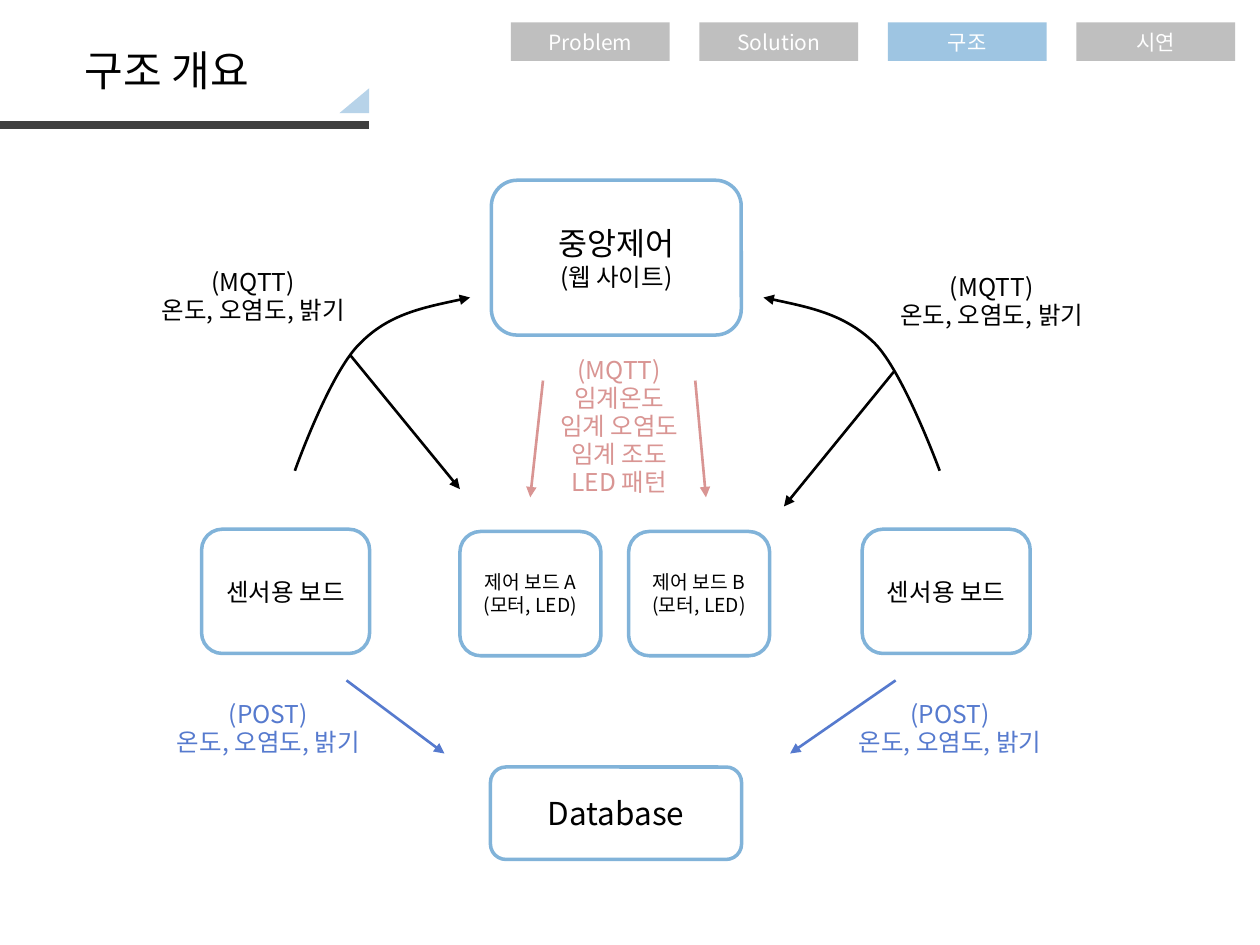
from lxml import etree
from pptx import Presentation
from pptx.dml.color import RGBColor
from pptx.enum.shapes import MSO_CONNECTOR, MSO_SHAPE
from pptx.enum.text import MSO_ANCHOR, PP_ALIGN
from pptx.oxml.ns import qn
from pptx.util import Pt

RECT, ROUND, TRIANGLE = MSO_SHAPE.RECTANGLE, MSO_SHAPE.ROUNDED_RECTANGLE, MSO_SHAPE.RIGHT_TRIANGLE
STRAIGHT, MIDDLE, CENTER = MSO_CONNECTOR.STRAIGHT, MSO_ANCHOR.MIDDLE, PP_ALIGN.CENTER
FONT = "Noto Sans CJK KR"
BLACK = RGBColor(0x00, 0x00, 0x00)
WHITE = RGBColor(0xFF, 0xFF, 0xFF)
DARK = RGBColor(0x40, 0x40, 0x40)
GRAY = RGBColor(0xBF, 0xBF, 0xBF)
LIGHT_BLUE = RGBColor(0x9E, 0xC5, 0xE2)
PALE_BLUE = RGBColor(0xB7, 0xD3, 0xE9)
BOX_BLUE = RGBColor(0x81, 0xB3, 0xD9)
POST_BLUE = RGBColor(0x56, 0x7A, 0xCE)
PINK = RGBColor(0xD9, 0x95, 0x93)

prs = Presentation()
prs.slide_width, prs.slide_height = Pt(720), Pt(540)
shapes = prs.slides.add_slide(prs.slide_layouts[6]).shapes


def write(s, lines, color, tight=False):
    """Fill a shape with centred (text, size) lines."""
    tf = s.text_frame
    tf.word_wrap = True
    if not tight:
        tf.vertical_anchor = MIDDLE
    for i, (text, size) in enumerate(lines):
        p = tf.add_paragraph() if i else tf.paragraphs[0]
        p.alignment = CENTER
        if tight:
            p.line_spacing, p.space_before = Pt(6), Pt(10)
        r = p.add_run()
        r.text = text
        r.font.name, r.font.size = FONT, Pt(size)
        r.font.color.rgb = color
        etree.SubElement(r.font._element, qn("a:ea"), typeface=FONT)


def style_line(s, color, width, end=None):
    """Set colour and width, and an arrowhead at headEnd or tailEnd."""
    s.line.color.rgb, s.line.width = color, Pt(width)
    if end:
        etree.SubElement(s.line._get_or_add_ln(), qn("a:" + end), type="triangle")
    spPr = s._element.spPr
    if spPr.find(qn("a:effectLst")) is None:
        etree.SubElement(spPr, qn("a:effectLst"))


# Title with rule and corner triangle
s = shapes.add_textbox(Pt(-6.5), Pt(21.6), Pt(203.8), Pt(36))
write(s, [("구조 개요", 24)], BLACK)
s = shapes.add_connector(STRAIGHT, Pt(-1.4), Pt(71.3), Pt(211), Pt(71.3))
style_line(s, DARK, 4.5)
s = shapes.add_shape(TRIANGLE, Pt(195.4), Pt(49), Pt(14.2), Pt(17))
s.rotation = 270
s.shadow.inherit = False
s.fill.solid()
s.fill.fore_color.rgb = PALE_BLUE
s.line.fill.background()

# Navigation tabs
for i, name in enumerate(["Problem", "Solution", "구조", "시연"]):
    s = shapes.add_shape(RECT, Pt(292 + 107.7 * i), Pt(12.8), Pt(90.7), Pt(22))
    s.shadow.inherit = False
    s.fill.solid()
    s.fill.fore_color.rgb = LIGHT_BLUE if name == "구조" else GRAY
    s.line.fill.background()
    write(s, [(name, 12)], WHITE)

# System boxes
for x, y, w, h, lines in [
    (280.8, 103, 142.8, 88.5, [("중앙제어", 18), ("(웹 사이트)", 14)]),
    (115.2, 302.4, 96, 71, [("센서용 보드", 14)]),
    (492.7, 302.4, 96, 71, [("센서용 보드", 14)]),
    (262.8, 303.7, 80.6, 71, [("제어 보드 A", 11), ("(모터, LED)", 11)]),
    (359.2, 303.7, 80.6, 71, [("제어 보드 B", 11), ("(모터, LED)", 11)]),
    (280.3, 438.3, 143.5, 52.8, [("Database", 18)]),
]:
    s = shapes.add_shape(ROUND, Pt(x), Pt(y), Pt(w), Pt(h))
    s.shadow.inherit = False
    s.fill.background()
    style_line(s, BOX_BLUE, 2)
    write(s, lines, BLACK)

# Straight arrows
for x1, y1, x2, y2, color in [
    (200.2, 203, 262.8, 279.5, BLACK), (510.8, 212.4, 448, 289.4, BLACK),
    (310.3, 217.5, 303, 284.2, PINK), (397.3, 217.5, 403.4, 284.2, PINK),
    (198, 388.8, 254, 430.6, POST_BLUE), (511.8, 388.8, 451.5, 430.6, POST_BLUE),
]:
    s = shapes.add_connector(STRAIGHT, Pt(x1), Pt(y1), Pt(x2), Pt(y2))
    style_line(s, color, 1.5, "tailEnd")

# Curved arrows: each run of three points is one Bezier segment
for points in [
    [(268.6, 170), (245.5, 175), (222.5, 179.3), (206, 196),
     (188.6, 212.4), (168.5, 269), (168.5, 269)],
    [(436.3, 170), (459.4, 175), (482.4, 179.3), (499.7, 196),
     (516.2, 212.4), (537, 269), (537, 269)],
]:
    fb = shapes.build_freeform(Pt(points[0][0]), Pt(points[0][1]))
    fb.add_line_segments([(Pt(x), Pt(y)) for x, y in points[1:]], close=False)
    s = fb.convert_to_shape()
    steps = list(s._element.iter(qn("a:lnTo")))
    for i in range(0, len(steps), 3):
        curve = etree.Element(qn("a:cubicBezTo"))
        steps[i].addprevious(curve)
        for step in steps[i:i + 3]:
            curve.append(step[0])
            step.getparent().remove(step)
    s.fill.background()
    style_line(s, BLACK, 1.5, "headEnd")

# Message labels
READINGS = "온도, 오염도, 밝기"
for x, y, w, h, color, lines in [
    (74.2, 159.8, 141, 21.6, BLACK, ["(MQTT)", READINGS]),
    (481, 162.7, 171.4, 21.6, BLACK, ["(MQTT)", READINGS]),
    (306.7, 210.2, 94.3, 81.4, PINK,
     ["(MQTT)", "임계온도", "임계 오염도", "임계 조도", "LED 패턴"]),
    (67.7, 406.8, 171.4, 21.6, POST_BLUE, ["(POST)", READINGS]),
    (457.2, 406.8, 171.4, 21.6, POST_BLUE, ["(POST)", READINGS]),
]:
    s = shapes.add_textbox(Pt(x), Pt(y), Pt(w), Pt(h))
    write(s, [(text, 14) for text in lines], color, tight=True)

prs.save("out.pptx")
